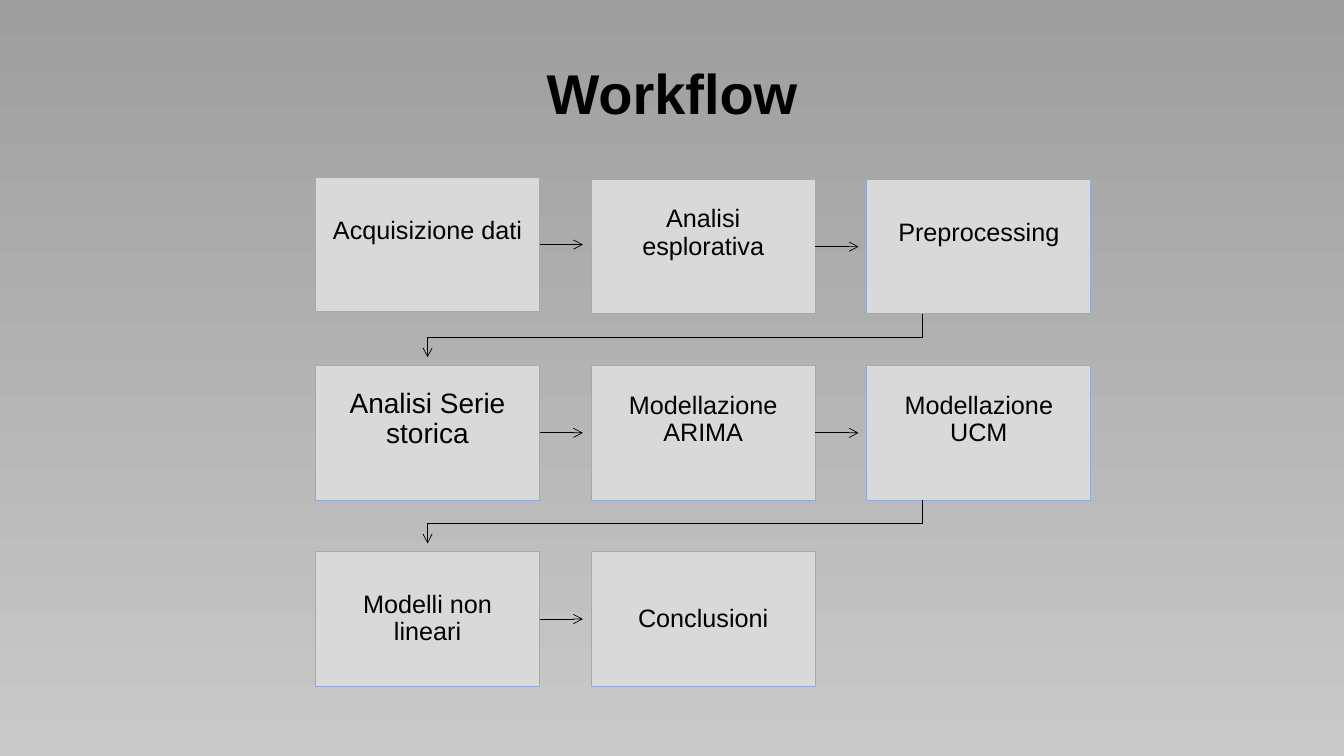
from lxml.etree import SubElement
from pptx import Presentation
from pptx.dml.color import RGBColor
from pptx.enum.shapes import MSO_CONNECTOR as Connector, MSO_SHAPE as Preset
from pptx.enum.text import MSO_ANCHOR as Anchor, PP_ALIGN as Align
from pptx.oxml.ns import qn
from pptx.util import Pt

BLACK = RGBColor(0x00, 0x00, 0x00)
BOX_GREY = RGBColor(0xD9, 0xD9, 0xD9)
BORDER_BLUE = RGBColor(0x8F, 0xAA, 0xDC)
SKY_TOP = RGBColor(0x9E, 0x9E, 0x9E)
SKY_BOTTOM = RGBColor(0xC9, 0xC9, 0xC9)

BOX_W, BOX_H = 160, 96
GRID_LEFT, GRID_TOP = 225.4, 128.2
PITCH_X, PITCH_Y = 196.9, 133
INSET, LIFTED_INSET = 8.5, 27.5
ARROW_LENGTH = 31
BEND_DROP, BEND_START = 16.8, 39.6
RIGHT_SITE = 3

# Each step: label, text size, bottom inset, vertical nudge
WORKFLOW = [
    [("Acquisizione dati", 18, LIFTED_INSET, -1.5),
     ("Analisi esplorativa", 18, LIFTED_INSET, 0),
     ("Preprocessing", 18, LIFTED_INSET, 0)],
    [("Analisi Serie storica", 20, LIFTED_INSET, 0),
     ("Modellazione ARIMA", 18, LIFTED_INSET, 0),
     ("Modellazione UCM", 18, LIFTED_INSET, 0)],
    [("Modelli non lineari", 18, INSET, 0),
     ("Conclusioni", 18, INSET, 0)],
]


def apply(target, values):
    """Set every attribute in values on target."""
    for name, value in values.items():
        setattr(target, name, value)


class WorkflowSlide:
    """Holds the style and the slide being drawn."""

    font = "Arial"
    line_spacing = 0.9

    def __init__(self, slide):
        """Keep the slide to draw on."""
        self.slide = slide

    def background(self, top, bottom):
        """Fill the background with a vertical gradient."""
        fill = self.slide.background.fill
        fill.gradient()
        fill.gradient_angle = 270
        for stop, color in zip(fill.gradient_stops, (top, bottom)):
            stop.color.rgb = color

    def label(self, frame, text, size, bold=False):
        """Put one centred paragraph in a text frame."""
        apply(frame, {"text": text, "word_wrap": True,
                      "vertical_anchor": Anchor.MIDDLE})
        paragraph = frame.paragraphs[0]
        apply(paragraph, {"alignment": Align.CENTER,
                          "line_spacing": self.line_spacing})
        font = paragraph.runs[0].font
        apply(font, {"name": self.font, "size": Pt(size), "bold": bold})
        font.color.rgb = BLACK

    def title(self, text):
        """Place and fill the title placeholder."""
        heading = self.slide.shapes.title
        apply(heading, {"left": Pt(66), "top": Pt(31),
                        "width": Pt(828), "height": Pt(75.6)})
        self.label(heading.text_frame, text, 40, bold=True)

    def step(self, left, top, text, size, bottom_inset):
        """Draw one workflow box and return it."""
        box = self.slide.shapes.add_shape(
            Preset.RECTANGLE, Pt(left), Pt(top), Pt(BOX_W), Pt(BOX_H))
        box.shadow.inherit = False
        box.fill.solid()
        box.fill.fore_color.rgb = BOX_GREY
        box.line.color.rgb = BORDER_BLUE
        box.line.width = Pt(0.75)
        apply(box.text_frame, {
            "margin_left": Pt(INSET), "margin_right": Pt(INSET),
            "margin_top": Pt(INSET), "margin_bottom": Pt(bottom_inset)})
        self.label(box.text_frame, text, size)
        return box

    def arrow_style(self, arrow):
        """Give a line a thin black stroke with an open head."""
        arrow.line.color.rgb = BLACK
        arrow.line.width = Pt(0.5)
        stroke = arrow.element.spPr.find(qn("a:ln"))
        SubElement(stroke, qn("a:tailEnd"), type="arrow")

    def arrow_right(self, box):
        """Draw a straight arrow from the right side of a box."""
        start, middle = box.left + box.width, box.top + box.height // 2
        arrow = self.slide.shapes.add_connector(
            Connector.STRAIGHT, start, middle,
            start + Pt(ARROW_LENGTH), middle)
        arrow.begin_connect(box, RIGHT_SITE)
        self.arrow_style(arrow)
        SubElement(arrow.element.spPr, qn("a:effectLst"))

    def arrow_to_next_row(self, last_box, first_box):
        """Draw a bent arrow from the end of a row to the next row."""
        start_x = last_box.left + Pt(BEND_START)
        end_x = first_box.left + first_box.width // 2
        bottom = last_box.top + last_box.height
        bend = bottom + Pt(BEND_DROP)
        outline = self.slide.shapes.build_freeform(start_x, bottom)
        outline.add_line_segments(
            [(start_x, bend), (end_x, bend),
             (end_x, bottom + Pt(ARROW_LENGTH))], close=False)
        arrow = outline.convert_to_shape()
        arrow.shadow.inherit = False
        arrow.fill.background()
        self.arrow_style(arrow)


def main():
    """Build the workflow slide and save it."""
    deck = Presentation()
    apply(deck, {"slide_width": Pt(960), "slide_height": Pt(540)})
    page = WorkflowSlide(deck.slides.add_slide(deck.slide_layouts[5]))
    page.background(SKY_TOP, SKY_BOTTOM)
    page.title("Workflow")

    rows = [
        [page.step(GRID_LEFT + column * PITCH_X,
                   GRID_TOP + row * PITCH_Y + nudge, text, size, inset)
         for column, (text, size, inset, nudge) in enumerate(steps)]
        for row, steps in enumerate(WORKFLOW)]
    for boxes in rows:
        for box in boxes[:-1]:
            page.arrow_right(box)
    for boxes, next_boxes in zip(rows, rows[1:]):
        page.arrow_to_next_row(boxes[-1], next_boxes[0])

    deck.save("out.pptx")


main()
